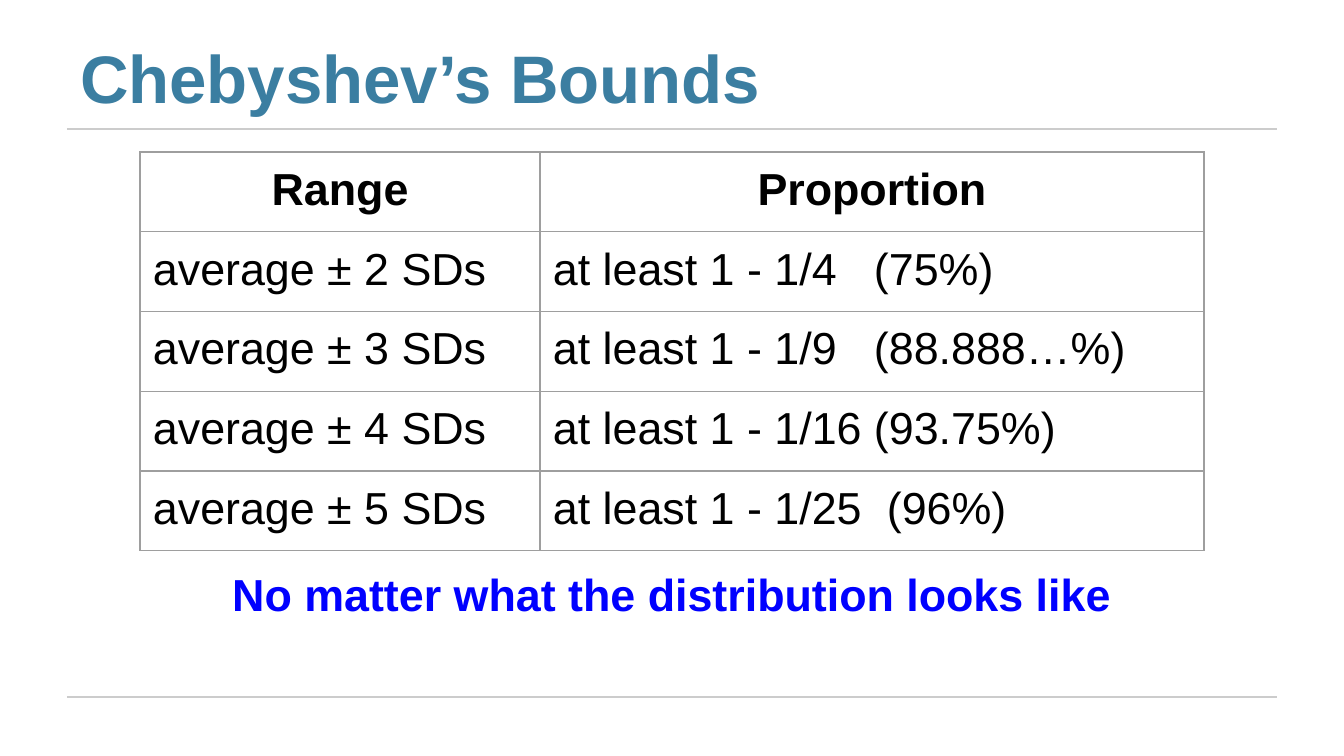
from lxml import etree
from pptx import Presentation
from pptx.dml.color import RGBColor
from pptx.enum.shapes import MSO_CONNECTOR
from pptx.enum.text import MSO_ANCHOR, PP_ALIGN
from pptx.oxml.ns import qn
from pptx.util import Emu, Pt

STRAIGHT = MSO_CONNECTOR.STRAIGHT
TOP, BOTTOM = MSO_ANCHOR.TOP, MSO_ANCHOR.BOTTOM
LEFT, CENTER = PP_ALIGN.LEFT, PP_ALIGN.CENTER

EMU_PER_PX = 914400 / 134.4
FONT = "Arial"
INSET = 13
BLACK, TEAL, BLUE = "000000", "3B7EA1", "0000FF"
RULE_GRAY, BORDER_GRAY = "CCCCCC", "9E9E9E"

HEADER = ("Range", "Proportion")
# Range, bound, percentage and the tab stop of the percentage
BOUNDS = [
    ("average ± 2 SDs", "at least 1 - 1/4", "(75%)", 321),
    ("average ± 3 SDs", "at least 1 - 1/9", "(88.888…%)", 321),
    ("average ± 4 SDs", "at least 1 - 1/16", "(93.75%)", 321),
    ("average ± 5 SDs", "at least 1 - 1/25", "(96%)", 334),
]


def px(n):
    """Turn picture pixels into EMU."""
    return Emu(round(n * EMU_PER_PX))


def rgb(value):
    """Turn a hex string into a colour."""
    return RGBColor.from_string(value)


def set_text(tf, text, size, color, bold=False, align=LEFT):
    """Write one formatted paragraph and return it."""
    p = tf.paragraphs[0]
    p.text = text
    p.alignment = align
    for r in p.runs:
        r.font.name = FONT
        r.font.size = Pt(size)
        r.font.bold = bold
        r.font.color.rgb = rgb(color)
    return p


def set_insets(target):
    """Give a text frame or a cell equal margins."""
    target.margin_left = target.margin_right = px(INSET)
    target.margin_top = target.margin_bottom = px(INSET)


def add_rule(slide, x, y, w):
    """Draw a thin horizontal line."""
    line = slide.shapes.add_connector(STRAIGHT, px(x), px(y), px(x + w), px(y))
    line.line.color.rgb = rgb(RULE_GRAY)
    line.line.width = Pt(0.75)
    etree.SubElement(line._element.spPr, qn("a:effectLst"))


def add_label(slide, box, text, size, color, align=LEFT, anchor=TOP):
    """Place a bold text box."""
    tf = slide.shapes.add_textbox(*map(px, box)).text_frame
    tf.word_wrap = True
    tf.vertical_anchor = anchor
    set_insets(tf)
    set_text(tf, text, size, color, True, align)


def set_borders(cell):
    """Outline all four sides of a cell."""
    tcPr = cell._tc.get_or_add_tcPr()
    for i, side in enumerate(("lnL", "lnR", "lnT", "lnB")):
        ln = etree.Element(qn(f"a:{side}"), w=str(Pt(0.75)))
        fill = etree.SubElement(ln, qn("a:solidFill"))
        etree.SubElement(fill, qn("a:srgbClr"), val=BORDER_GRAY)
        tcPr.insert(i, ln)


def add_tab_stop(p, x):
    """Set a left tab stop in a paragraph."""
    tabs = etree.SubElement(p._p.get_or_add_pPr(), qn("a:tabLst"))
    etree.SubElement(tabs, qn("a:tab"), pos=str(px(x)), algn="l")


def add_bounds_table(slide, box, split):
    """Build the table of ranges and proportions, with columns parted at split."""
    x, y, w, h = box
    rows = [HEADER] + [(rng, f"{bound}\t{pct}") for rng, bound, pct, _ in BOUNDS]
    frame = slide.shapes.add_table(len(rows), 2, px(x), px(y), px(w), px(h))
    table = frame.table
    table.first_row = table.horz_banding = False
    table.columns[0].width = px(split)
    table.columns[1].width = px(w - split)
    for i, texts in enumerate(rows):
        table.rows[i].height = px(h / len(rows))
        for j, text in enumerate(texts):
            cell = table.cell(i, j)
            cell.fill.background()
            set_insets(cell)
            set_borders(cell)
            is_header = i == 0
            p = set_text(cell.text_frame, text, 24, BLACK, is_header,
                         CENTER if is_header else LEFT)
            if j == 1 and not is_header:
                add_tab_stop(p, BOUNDS[i - 1][3])


def add_bounds_slide(prs):
    """Build the slide: title, rules, table and closing remark."""
    slide = prs.slides.add_slide(prs.slide_layouts[6])
    for y in (129, 697):
        add_rule(slide, 67, y, 1210)
    add_label(slide, (67, 31, 985, 99), "Chebyshev’s Bounds", 36, TEAL,
              anchor=BOTTOM)
    add_bounds_table(slide, (140, 152, 1064, 398), 400)
    add_label(slide, (216, 554, 911, 75),
              "No matter what the distribution looks like", 24, BLUE, CENTER)


prs = Presentation()
prs.slide_width, prs.slide_height = px(1344), px(756)
add_bounds_slide(prs)
prs.save("out.pptx")
